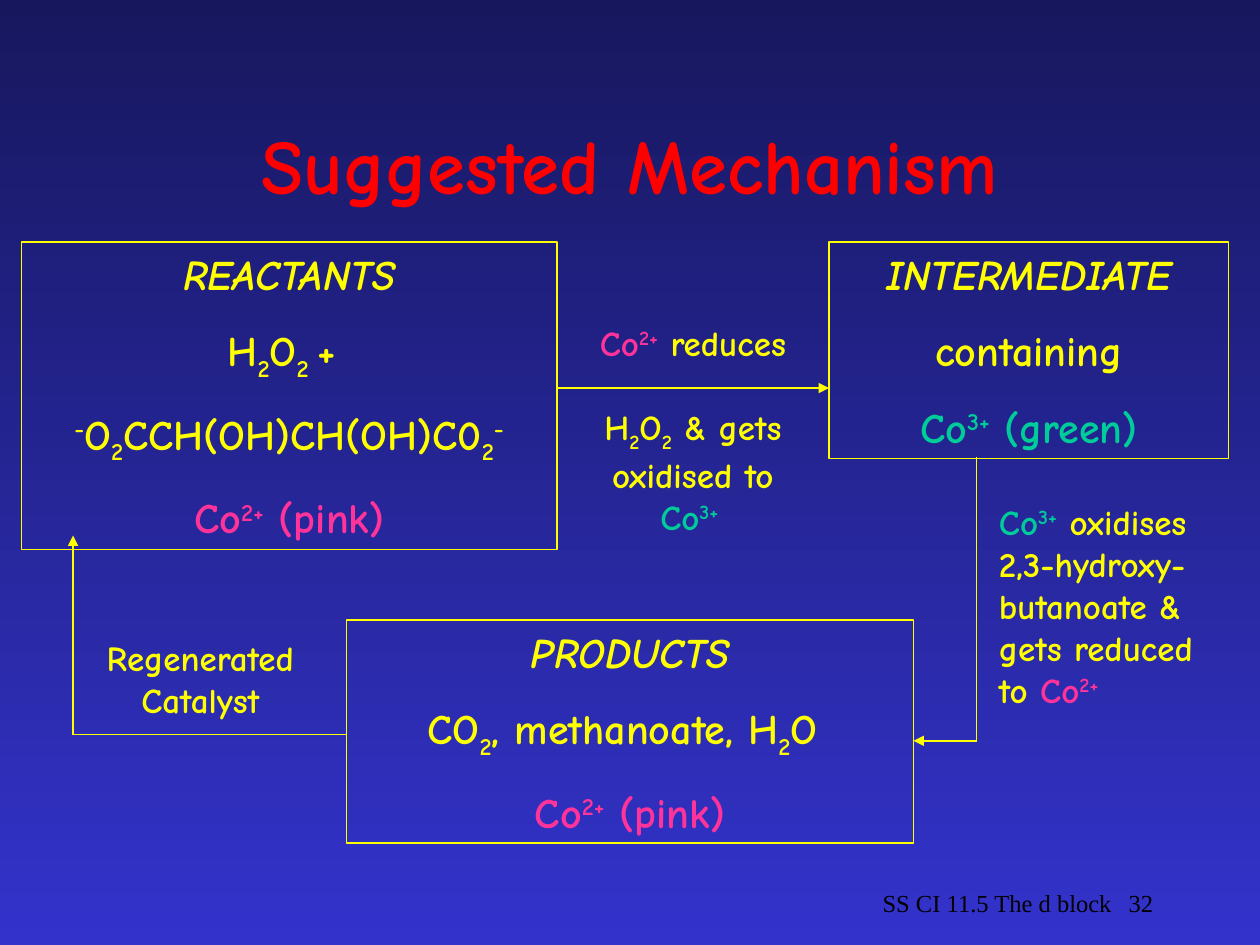
from dataclasses import dataclass

from pptx import Presentation, util as u
from pptx.dml.color import RGBColor
from pptx.enum import shapes, text
from pptx.oxml import xmlchemy
from pptx.oxml.ns import qn
from lxml import etree

SUB, SUP = -25000, 30000


@dataclass(frozen=True)
class Theme:
    sky: str = "17175E"
    ground: str = "3333CC"
    title: str = "FF0000"
    body: str = "FFFF00"
    pink: str = "FF3399"
    green: str = "00CC99"
    footer: str = "000000"
    hand: str = "Comic Neue"
    serif: str = "Times New Roman"
    title_size: float = 44
    stage_size: float = 24
    note_size: float = 20
    footer_size: float = 14
    line_width: float = 0.75


THEME = Theme()
LEFT, CENTER, RIGHT = (text.PP_ALIGN.LEFT, text.PP_ALIGN.CENTER,
                       text.PP_ALIGN.RIGHT)


def apply(target, formats):
    for name, value in formats.items():
        setattr(target, name, value)


def cobalt(charge, color, suffix=""):
    runs = [("Co", 0, color), (charge, SUP, color)]
    return runs + [(suffix, 0, color)] if suffix else runs


def write(frame, paragraphs, size, color=THEME.body, font=THEME.hand,
          bold=True, italic_head=False, align=CENTER, before=0,
          anchor=text.MSO_ANCHOR.TOP, wrap=True,
          fit=text.MSO_AUTO_SIZE.SHAPE_TO_FIT_TEXT):
    apply(frame, {"word_wrap": wrap, "auto_size": fit,
                  "vertical_anchor": anchor})
    for index, runs in enumerate(paragraphs):
        line = frame.add_paragraph() if index else frame.paragraphs[0]
        apply(line, {"alignment": align, "space_before": u.Pt(before)})
        for words, baseline, own_color in runs:
            run = line.add_run()
            run.text = words
            apply(run.font, {"name": font, "size": u.Pt(size), "bold": bold,
                             "italic": italic_head and index == 0})
            run.font.color.rgb = RGBColor.from_string(own_color or color)
            if baseline:
                run.font._element.set("baseline", str(baseline))


def plain(words):
    return [(words, 0, None)]


def add_label(slide, place, paragraphs, size, **formats):
    label = slide.shapes.add_textbox(*map(u.Inches, place))
    write(label.text_frame, paragraphs, size, **formats)


def add_stage(slide, place, paragraphs):
    stage = slide.shapes.add_shape(shapes.MSO_SHAPE.RECTANGLE,
                                   *map(u.Inches, place))
    stage.shadow.inherit = False
    stage.fill.background()
    stage.line.color.rgb = RGBColor.from_string(THEME.body)
    stage.line.width = u.Pt(THEME.line_width)
    write(stage.text_frame, paragraphs, THEME.stage_size, italic_head=True,
          before=15)


def add_route(slide, *points):
    for start, end in zip(points, points[1:]):
        leg = slide.shapes.add_connector(shapes.MSO_CONNECTOR.STRAIGHT,
                                         *map(u.Inches, start + end))
        leg.line.color.rgb = RGBColor.from_string(THEME.body)
        leg.line.width = u.Pt(THEME.line_width)
        etree.SubElement(leg._element.spPr, qn("a:effectLst"))
    etree.SubElement(leg.line._get_or_add_ln(), qn("a:tailEnd"),
                     type="triangle")


def paint_background(slide):
    fill = slide.background.fill
    fill.gradient()
    fill.gradient_angle = 270
    for stop, color in zip(fill.gradient_stops, (THEME.sky, THEME.ground)):
        stop.color.rgb = RGBColor.from_string(color)


def add_stages(slide):
    two = ("2", SUB, None)
    minus = ("-", SUP, None)
    pink_cobalt = cobalt("2+", THEME.pink, " (pink)")
    add_stage(slide, (0.17, 1.92, 4.25, 2.44), [
        plain("REACTANTS"),
        [("H", 0, None), two, ("O", 0, None), ("2 ", SUB, None),
         ("+ ", 0, None)],
        [minus, ("O", 0, None), two, ("CCH(OH)CH(OH)C0", 0, None), two, minus],
        pink_cobalt])
    add_stage(slide, (6.58, 1.92, 3.17, 1.72), [
        plain("INTERMEDIATE"), plain("containing"),
        cobalt("3+", THEME.green, " (green)")])
    add_stage(slide, (2.75, 4.92, 4.5, 1.77), [
        plain("PRODUCTS"),
        [("CO", 0, None), two, (", methanoate, H", 0, None), two,
         ("O ", 0, None)],
        pink_cobalt])


def add_steps(slide):
    two = ("2", SUB, None)
    size = THEME.note_size
    add_route(slide, (4.42, 3.08), (6.58, 3.08))
    add_label(slide, (4.5, 2.5, 2, 0.44),
              [cobalt("2+", THEME.pink) + plain(" reduces")], size,
              before=12.5)
    add_label(slide, (4.5, 3.17, 2, 1.15),
              [[("H", 0, None), two, ("O", 0, None), two]
               + plain(" & gets oxidised to ") + cobalt("3+ ", THEME.green)],
              size, before=12.5)
    add_route(slide, (7.75, 3.63), (7.75, 5.88), (7.25, 5.88))
    add_label(slide, (7.83, 3.92, 1.92, 1.77),
              [cobalt("3+", THEME.green)
               + plain(" oxidises 2,3-hydroxy- butanoate & gets reduced to ")
               + cobalt("2+", THEME.pink)],
              size, before=12.5, align=LEFT)
    add_route(slide, (2.75, 5.83), (0.58, 5.83), (0.58, 4.25))
    add_label(slide, (0.74, 5, 1.7, 0.77),
              [plain("Regenerated"), plain("Catalyst")], size, wrap=False)


def main():
    deck = Presentation()
    apply(deck, {"slide_width": u.Inches(10), "slide_height": u.Inches(7.5)})
    slide = deck.slides.add_slide(deck.slide_layouts[6])
    paint_background(slide)
    add_label(slide, (0.75, 0.67, 8.5, 1.25), [plain("Suggested Mechanism")],
              THEME.title_size, color=THEME.title,
              anchor=text.MSO_ANCHOR.MIDDLE, fit=text.MSO_AUTO_SIZE.NONE)
    add_stages(slide)
    add_steps(slide)
    footer = {"color": THEME.footer, "font": THEME.serif, "bold": False,
              "anchor": text.MSO_ANCHOR.BOTTOM,
              "fit": text.MSO_AUTO_SIZE.NONE}
    add_label(slide, (6.33, 6.83, 3.17, 0.5),
              [plain("SS CI 11.5 The d block")], THEME.footer_size, **footer)
    add_label(slide, (7.17, 6.83, 2.08, 0.5), [plain("32")],
              THEME.footer_size, align=RIGHT, **footer)
    deck.save("out.pptx")


if __name__ == "__main__":
    main()
